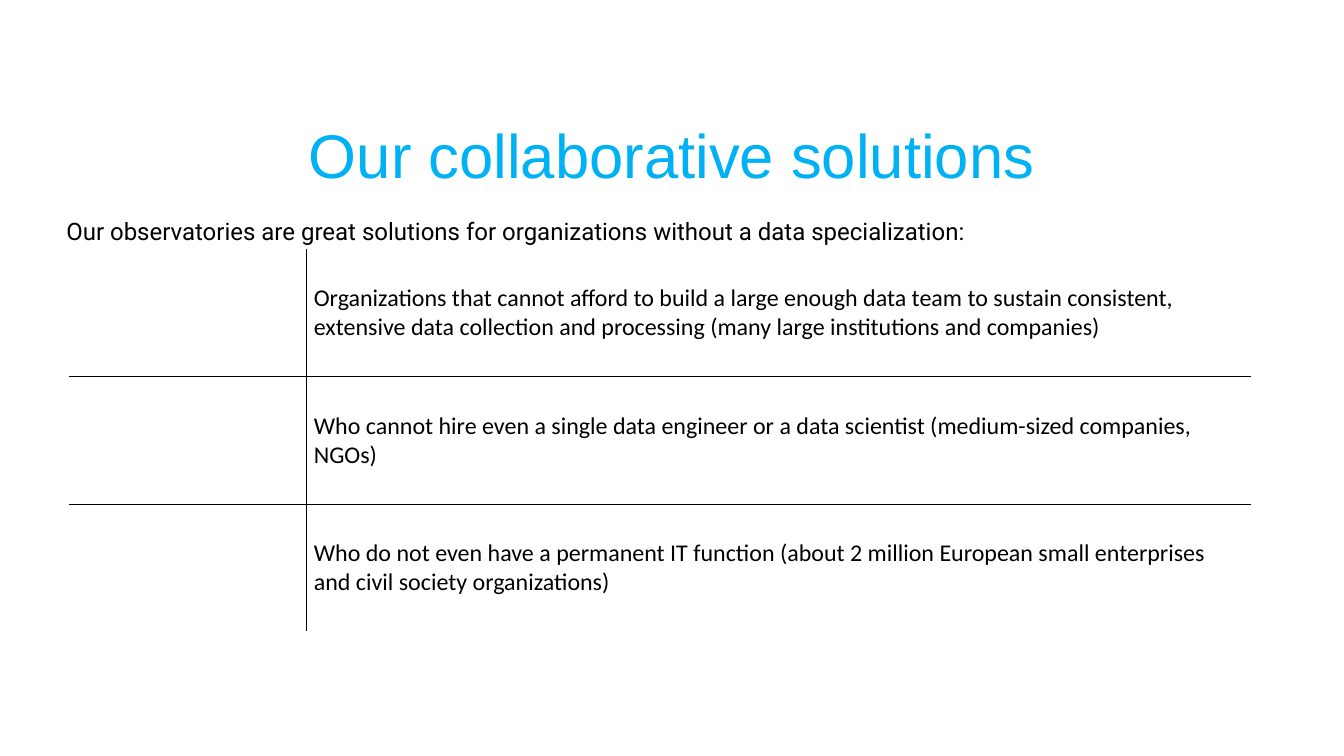
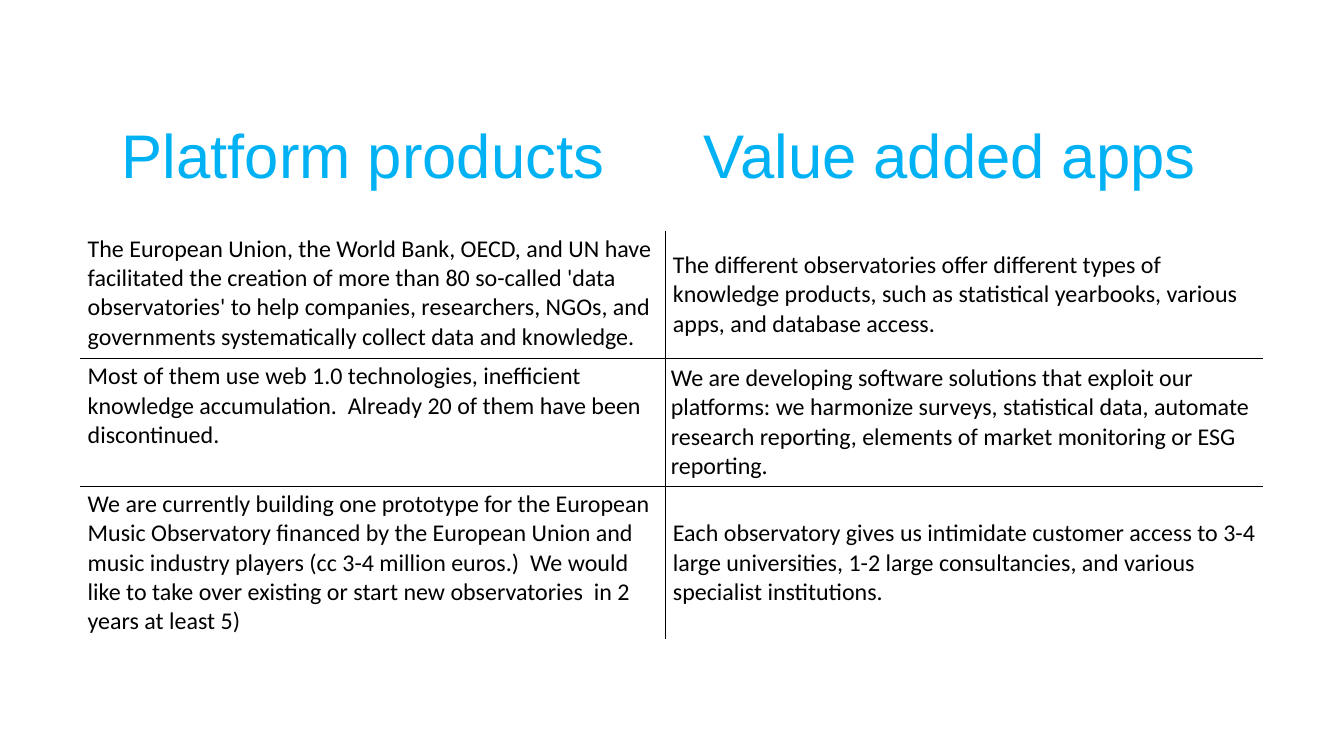
import pptx
import pptx.dml.color
import pptx.enum.text
import pptx.oxml
import pptx.oxml.ns
import pptx.util

Cm = pptx.util.Cm
ANCHOR = pptx.enum.text.MSO_ANCHOR
ALIGN = pptx.enum.text.PP_ALIGN
BLACK = pptx.dml.color.RGBColor(0x00, 0x00, 0x00)
WHITE = pptx.dml.color.RGBColor(0xFF, 0xFF, 0xFF)
SKY = pptx.dml.color.RGBColor(0x00, 0xB2, 0xF4)


class Deck:
    heading = {"name": "Arial", "size": pptx.util.Pt(61.6), "color": SKY}
    lead = {"name": "Roboto", "size": pptx.util.Pt(24), "color": BLACK}
    body = {"name": "Calibri", "size": pptx.util.Pt(24), "color": BLACK}
    row_height = Cm(4.5)
    tight = Cm(0.18)

    def __init__(self):
        self.prs = pptx.Presentation()
        self.prs.slide_width = Cm(47.42)
        self.prs.slide_height = Cm(26.67)
        self.s = None

    def add_slide(self):
        self.s = self.prs.slides.add_slide(self.prs.slide_layouts[5])

    def add_text(self, tf, text, style):
        p = tf.paragraphs[0]
        r = p.add_run()
        r.text = text
        for key, value in style.items():
            if key == "color":
                r.font.color.rgb = value
            else:
                setattr(r.font, key, value)
        return p

    def format_heading(self, sp, text):
        tf = sp.text_frame
        tf.word_wrap = True
        tf.auto_size = pptx.enum.text.MSO_AUTO_SIZE.NONE
        tf.vertical_anchor = ANCHOR.MIDDLE
        p = self.add_text(tf, text, self.heading)
        p.alignment = ALIGN.CENTER
        p.line_spacing = 0.9

    def title(self, text, left, top, width, height):
        sp = self.s.shapes.title
        box = {"left": left, "top": top, "width": width, "height": height}
        for key, value in box.items():
            setattr(sp, key, value)
        self.format_heading(sp, text)

    def second_title(self, text, *box):
        self.format_heading(self.s.shapes.add_textbox(*box), text)

    def intro(self, text, *box):
        tf = self.s.shapes.add_textbox(*box).text_frame
        tf.word_wrap = True
        tf.auto_size = pptx.enum.text.MSO_AUTO_SIZE.SHAPE_TO_FIT_TEXT
        self.add_text(tf, text, self.lead)

    def border(self, cell, side, color):
        ns = pptx.oxml.ns.nsdecls("a")
        cell._tc.get_or_add_tcPr().append(pptx.oxml.parse_xml(
            f'<a:ln{side} {ns} w="12700"><a:solidFill>'
            f'<a:srgbClr val="{color}"/></a:solidFill></a:ln{side}>'))

    def table(self, rows, left, top, widths, anchors):
        height = self.row_height * len(rows)
        frame = self.s.shapes.add_table(
            len(rows), len(widths), left, top, sum(widths), height)
        table = frame.table
        table.first_row = table.horz_banding = False
        for column, width in zip(table.columns, widths):
            column.width = width
        last_row, last_col = len(rows) - 1, len(widths) - 1
        for i, texts in enumerate(rows):
            table.rows[i].height = self.row_height
            for j, text in enumerate(texts):
                cell = table.cell(i, j)
                outer = {"L": j == 0, "R": j == last_col,
                         "T": i == 0, "B": i == last_row}
                for side, at_edge in outer.items():
                    self.border(cell, side, WHITE if at_edge else BLACK)
                cell.fill.solid()
                cell.fill.fore_color.rgb = WHITE
                cell.vertical_anchor = anchors[j]
                if text:
                    self.add_text(cell.text_frame, text, self.body)
        return table

    def tighten(self, cell):
        cell.vertical_anchor = ANCHOR.TOP
        for side in ("left", "right", "top", "bottom"):
            setattr(cell, f"margin_{side}", self.tight)


def solutions(deck):
    deck.add_slide()
    deck.title("Our collaborative solutions",
               Cm(3.25), Cm(3.02), Cm(40.89), Cm(5.16))
    deck.table([
        ("", "Organizations that cannot afford to build a large enough data team "
             "to sustain consistent, extensive data collection and processing "
             "(many large institutions and companies)"),
        ("", "Who cannot hire even a single data engineer or a data scientist "
             "(medium-sized companies, NGOs)"),
        ("", "Who do not even have a permanent IT function (about 2 million "
             "European small enterprises and civil society organizations)"),
    ], Cm(2.44), Cm(8.79), (Cm(8.38), Cm(33.32)), (ANCHOR.TOP, ANCHOR.MIDDLE))
    deck.intro(" Our observatories are great solutions for organizations "
               "without a data specialization:",
               Cm(1.88), Cm(7.52), Cm(35.31), Cm(1.27))


def products(deck):
    deck.add_slide()
    top, width, height = Cm(3), Cm(19.61), Cm(5.16)
    deck.title("Platform products", Cm(3), top, width, height)
    deck.second_title("Value added apps", Cm(23.7), top, width, height)
    table = deck.table([
        ("The European Union, the World Bank, OECD, and UN have facilitated the "
         "creation of more than 80 so-called 'data observatories' to help "
         "companies, researchers, NGOs, and governments systematically collect "
         "data and knowledge.",
         "The different observatories offer different types of knowledge "
         "products, such as statistical yearbooks, various apps, and database "
         "access."),
        ("Most of them use web 1.0 technologies, inefficient knowledge "
         "accumulation.  Already 20 of them have been discontinued.",
         "We are developing software solutions that exploit our platforms: we "
         "harmonize surveys, statistical data, automate research reporting, "
         "elements of market monitoring or ESG reporting."),
        ("We are currently building one prototype for the European Music "
         "Observatory financed by the European Union and music industry players "
         "(cc 3-4 million euros.)  We would like to take over existing or start "
         "new observatories  in 2 years at least 5)",
         "Each observatory gives us intimidate customer access to 3-4 large "
         "universities, 1-2 large consultancies, and various specialist "
         "institutions."),
    ], Cm(2.84), Cm(8.15), (Cm(20.65), Cm(21.06)), (ANCHOR.TOP, ANCHOR.MIDDLE))
    deck.tighten(table.cell(1, 1))


def main():
    deck = Deck()
    solutions(deck)
    products(deck)
    deck.prs.save("out.pptx")


if __name__ == "__main__":
    main()
